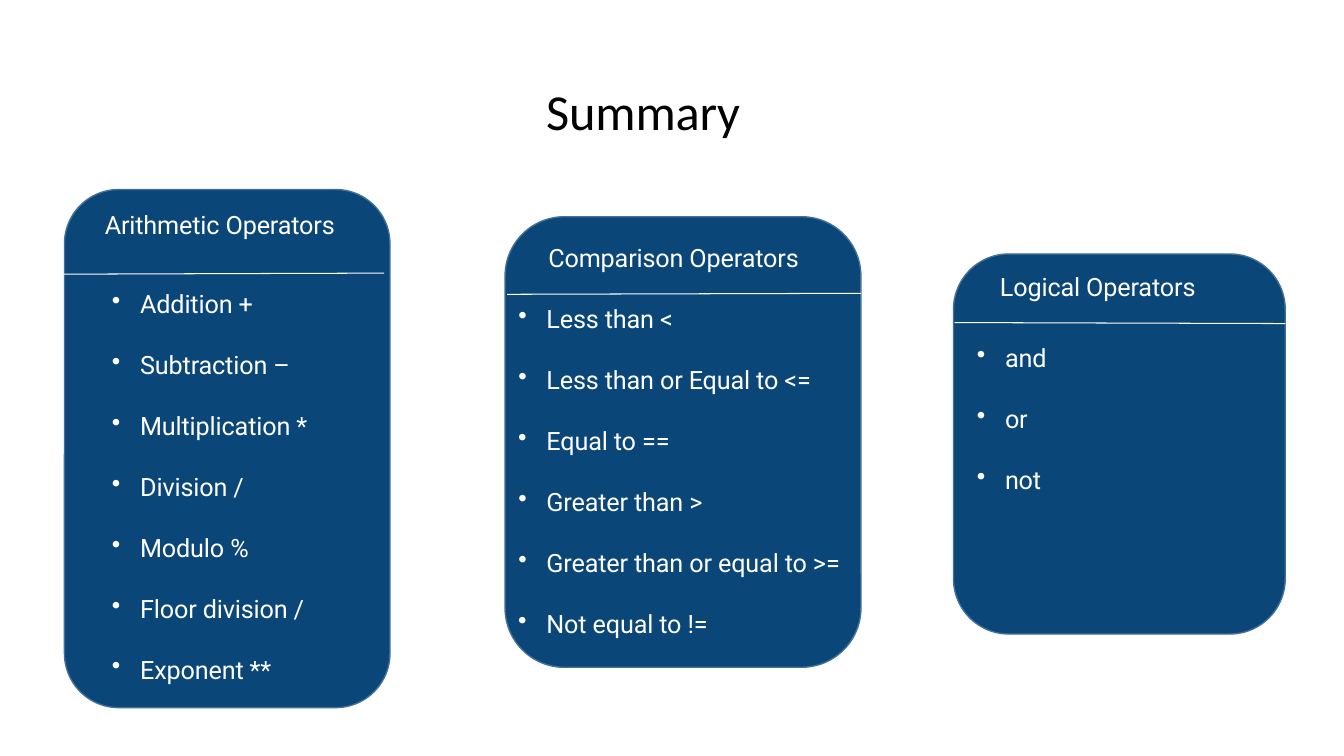
from dataclasses import dataclass

from lxml import etree
from pptx import Presentation
from pptx.dml.color import RGBColor
from pptx.enum.shapes import MSO_CONNECTOR, MSO_SHAPE
from pptx.enum.text import MSO_ANCHOR, PP_ALIGN
from pptx.oxml.ns import qn
from pptx.slide import Slide
from pptx.util import Inches, Pt

ROUNDED = MSO_SHAPE.ROUNDED_RECTANGLE
STRAIGHT = MSO_CONNECTOR.STRAIGHT
LEFT, CENTER = PP_ALIGN.LEFT, PP_ALIGN.CENTER
TOP, MIDDLE = MSO_ANCHOR.TOP, MSO_ANCHOR.MIDDLE

# Grid: 100 columns by 100 rows over the whole slide
WIDTH, HEIGHT = Inches(13.33), Inches(7.5)
ITEM_PITCH = 8.06
TEXT_HEIGHT = 4.27
BULLET_INDENT = 2.18
BULLET_HANG = 2.1


@dataclass(frozen=True)
class Theme:
    card: RGBColor = RGBColor(0x0B, 0x46, 0x79)
    outline: RGBColor = RGBColor(0x42, 0x70, 0x9A)
    light: RGBColor = RGBColor(0xFF, 0xFF, 0xFF)
    dark: RGBColor = RGBColor(0x00, 0x00, 0x00)
    title_font: str = "Calibri"
    body_font: str = "Roboto"
    title_size: float = 36
    body_size: float = 18
    outline_width: float = 1
    rule_width: float = 0.75
    letter_spacing: int = -10
    corner: float = 1 / 6


@dataclass(frozen=True)
class Box:
    left: float
    top: float
    width: float
    height: float = TEXT_HEIGHT


@dataclass(frozen=True)
class Item:
    text: str
    width: float


@dataclass(frozen=True)
class Card:
    heading: str
    body: Box
    heading_box: Box
    rule: tuple[float, float, float, float]
    list_left: float
    list_top: float
    items: tuple[Item, ...]


THEME = Theme()

CARDS = (
    Card("Arithmetic Operators", Box(4.8, 25.07, 24.22, 68.53),
         Box(7.8, 27.6, 17.55), (4.2, 36.27, 28.58, 36.13), 8.25, 38,
         (Item("Addition +", 11.25), Item("Subtraction –", 13.5),
          Item("Multiplication *", 14.85), Item("Division /", 10.05),
          Item("Modulo %", 10.43), Item("Floor division /", 14.55),
          Item("Exponent **", 12.08))),
    Card("Comparison Operators", Box(37.58, 28.67, 26.48, 59.6),
         Box(40.8, 31.87, 19.05), (37.73, 38.93, 64.05, 38.8), 38.48, 40,
         (Item("Less than <", 12.23), Item("Less than or Equal to <=", 24.08),
          Item("Equal to ==", 14.4), Item("Greater than >", 17.18),
          Item("Greater than or equal to >=", 25.58),
          Item("Not equal to !=", 14.4))),
    Card("Logical Operators", Box(70.95, 33.6, 24.68, 50.27),
         Box(74.4, 35.73, 14.93), (71.03, 42.67, 95.63, 42.8), 72.6, 45.2,
         (Item("and", 5.4), Item("or", 3.98), Item("not", 4.95))),
)


def columns(count: float) -> int:
    return round(WIDTH * count / 100)


def rows(count: float) -> int:
    return round(HEIGHT * count / 100)


def place(box: Box) -> tuple[int, int, int, int]:
    return columns(box.left), rows(box.top), columns(box.width), rows(box.height)


def add_text(slide: Slide, text: str, box: Box, *, font: str = THEME.body_font,
             size: float = THEME.body_size, color: RGBColor = THEME.light,
             align: PP_ALIGN = LEFT, anchor: MSO_ANCHOR = TOP,
             bullet: bool = False) -> None:
    frame = slide.shapes.add_textbox(*place(box)).text_frame
    frame.word_wrap = False
    frame.vertical_anchor = anchor
    frame.margin_left = frame.margin_right = frame.margin_bottom = 0
    frame.margin_top = Inches(0.01)
    paragraph = frame.paragraphs[0]
    paragraph.alignment = align
    paragraph.space_before = Pt(1)
    run = paragraph.add_run()
    run.text = text
    run.font.name = font
    run.font.size = Pt(size)
    run.font.color.rgb = color
    run.font._element.set("spc", str(THEME.letter_spacing))
    if bullet:
        properties = paragraph._p.get_or_add_pPr()
        properties.set("marL", str(columns(BULLET_INDENT)))
        properties.set("indent", str(-columns(BULLET_HANG)))
        etree.SubElement(properties, qn("a:buChar")).set("char", "•")


def add_panel(slide: Slide, box: Box) -> None:
    panel = slide.shapes.add_shape(ROUNDED, *place(box))
    panel.shadow.inherit = False
    panel.adjustments[0] = THEME.corner
    panel.fill.solid()
    panel.fill.fore_color.rgb = THEME.card
    panel.line.color.rgb = THEME.outline
    panel.line.width = Pt(THEME.outline_width)


def add_rule(slide: Slide, ends: tuple[float, float, float, float]) -> None:
    left, top, right, bottom = ends
    rule = slide.shapes.add_connector(
        STRAIGHT, columns(left), rows(top), columns(right), rows(bottom))
    rule.line.color.rgb = THEME.light
    rule.line.width = Pt(THEME.rule_width)
    etree.SubElement(rule._element.spPr, qn("a:effectLst"))


def add_card(slide: Slide, card: Card) -> None:
    add_panel(slide, card.body)
    add_rule(slide, card.rule)
    add_text(slide, card.heading, card.heading_box)
    for index, item in enumerate(card.items):
        top = card.list_top + index * ITEM_PITCH
        add_text(slide, item.text, Box(card.list_left, top, item.width), bullet=True)


def main() -> None:
    presentation = Presentation()
    presentation.slide_width, presentation.slide_height = WIDTH, HEIGHT
    slide = presentation.slides.add_slide(presentation.slide_layouts[6])

    # Title
    add_text(slide, "Summary", Box(39.75, 10.4, 16.2, 8.27),
             font=THEME.title_font, size=THEME.title_size, color=THEME.dark,
             align=CENTER, anchor=MIDDLE)

    # Operator cards
    for card in CARDS:
        add_card(slide, card)

    presentation.save("out.pptx")


if __name__ == "__main__":
    main()
